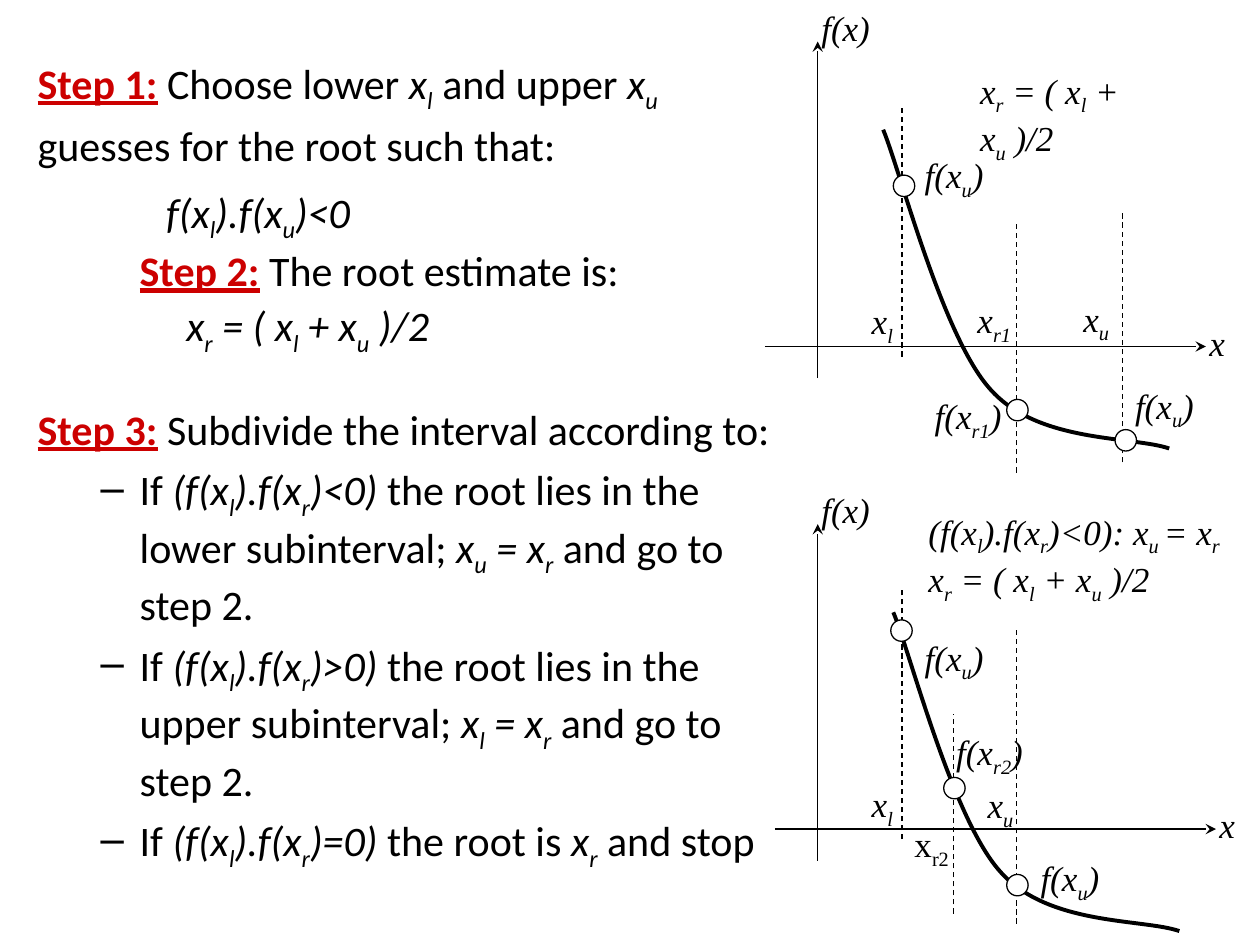
from dataclasses import dataclass
from typing import NamedTuple

from lxml.etree import SubElement
from pptx import Presentation
from pptx.dml.color import RGBColor
from pptx.enum.dml import MSO_LINE
from pptx.enum.shapes import MSO_CONNECTOR, MSO_SHAPE
from pptx.enum.text import MSO_ANCHOR, MSO_AUTO_SIZE
from pptx.oxml.ns import qn
from pptx.util import Inches, Pt

BLACK = RGBColor(0x00, 0x00, 0x00)
WHITE = RGBColor(0xFF, 0xFF, 0xFF)
RED = RGBColor(0xCC, 0x00, 0x00)
BODY_FONT, LABEL_FONT = "Calibri", "Times New Roman"
BODY_SIZE, LABEL_SIZE = Pt(24), Pt(20)
DOT_SIZE = 0.17

# Start point, then two control points and an end point for each curve segment
CURVE = [(7.01, 1.03), (7.15, 1.37), (7.48, 2.67), (7.86, 3.09),
         (8.24, 3.52), (8.99, 3.46), (9.28, 3.56)]


class Label(NamedTuple):
    left: float
    top: float
    width: float
    lines: tuple[str, ...]
    wrap: bool = True


class Guide(NamedTuple):
    """Vertical dashed line."""
    x: float
    bottom: float
    top: float


@dataclass
class Plot:
    """One graph; all heights inside it are measured from its top."""
    top: float
    shift: float
    guides: list[Guide]
    dots: list[tuple[float, float]]
    labels: list[Label]


@dataclass
class Step:
    markup: str
    heading: str = ""
    indent: float = 0
    spacing: float = 1
    space_before: float = 6
    bulleted: bool = False


ESTIMATE = "*x~r~ = ( x~l~ + x~u~ )/2*"

PLOTS = [
    Plot(0, 0,
         [Guide(7.16, 2.83, 0.83), Guide(8.91, 3.67, 1.67), Guide(8.07, 3.75, 1.75)],
         [(7.09, 1.39), (8.85, 3.41), (7.99, 3.17)],
         [Label(8.5, 2.31, 0.5, ("*x~u~*",)),
          Label(8.91, 3, 0.75, ("*f(x~u~)*",)),
          Label(7.66, 2.32, 0.5, ("*x~r1~*",)),
          Label(7.32, 3.08, 1, ("*f(x~r1~)*",)),
          Label(7.68, 0.5, 1.95, (ESTIMATE,), wrap=False)]),
    Plot(3.83, 0.08,
         [Guide(7.16, 2.83, 0.83), Guide(7.57, 3.42, 1.84), Guide(8.07, 3.5, 1.17)],
         [(7.07, 1.09), (7.99, 3.11), (7.49, 2.34)],
         [Label(7.74, 2.34, 0.5, ("*x~u~*",)),
          Label(7.16, 2.65, 0.5, ("x~r2~",)),
          Label(8.16, 2.92, 0.75, ("*f(x~u~)*",)),
          Label(7.49, 1.92, 1, ("*f(x~r2~)*",)),
          Label(7.27, 0.17, 2.55,
                ("*(f(x~l~).f(x~r~)<0): x~u ~= x~r~*", ESTIMATE), wrap=False)]),
]

STEPS = [
    Step(" Choose lower *x~l~* and upper *x~u~*\vguesses for the root such that:",
         "Step 1:", spacing=1.1),
    Step("*f(x~l~).f(x~u~)<0*", indent=1.02, spacing=1.1),
    Step(" The root estimate is:", "Step 2:", indent=0.81, spacing=0.8),
    Step(ESTIMATE, indent=1.18, spacing=0.8),
    Step(" Subdivide the interval according to:", "Step 3:", spacing=0.8, space_before=35.5),
    Step("If *(f(x~l~).f(x~r~)<0)* the root lies in the lower subinterval; "
         "*x~u~ = x~r~* and go to step 2.", indent=0.81, bulleted=True),
    Step("If *(f(x~l~).f(x~r~)>0)* the root lies in the upper subinterval; "
         "*x~l~ = x~r~* and go to step 2.", indent=0.81, bulleted=True),
    Step("If *(f(x~l~).f(x~r~)=0)* the root is *x~r~* and stop", indent=0.81, bulleted=True),
]


def add_span(para, text: str, font_name: str, size: Pt, color: RGBColor = BLACK):
    span = para.add_run()
    span.text = text
    span.font.name, span.font.size = font_name, size
    span.font.color.rgb = color
    return span


def add_markup(para, markup: str, font_name: str, size: Pt) -> None:
    """Write text where * toggles italic, ~ toggles subscript and \\v breaks the line."""
    italic = False
    for index, level in enumerate(markup.split("~")):
        for position, piece in enumerate(level.split("*")):
            italic ^= position > 0
            for number, text in enumerate(piece.split("\v")):
                if number:
                    para.add_line_break()
                if text:
                    span = add_span(para, text, font_name, size)
                    span.font.italic = italic
                    if index % 2:
                        span.font._element.set("baseline", "-25000")


def add_line(page, start: tuple[float, float], end: tuple[float, float],
             arrow: bool = False) -> None:
    """Draw an axis with an arrowhead, or a dashed guide without one."""
    line = page.shapes.add_connector(MSO_CONNECTOR.STRAIGHT, *map(Inches, start + end))
    line.line.color.rgb = BLACK
    line.line.width = Pt(0.75)
    if arrow:
        SubElement(line.line._get_or_add_ln(), qn("a:tailEnd"), type="stealth")
    else:
        line.line.dash_style = MSO_LINE.DASH
    SubElement(line._element.spPr, qn("a:effectLst"))


def add_curve(page, points: list[tuple[float, float]]) -> None:
    start, *rest = [(Inches(x), Inches(y)) for x, y in points]
    builder = page.shapes.build_freeform(*start)
    builder.add_line_segments(rest, close=False)
    curve = builder.convert_to_shape()
    curve.shadow.inherit = False
    curve.fill.background()
    curve.line.color.rgb = BLACK
    curve.line.width = Pt(2.25)
    # Every three straight segments become one cubic segment
    segments = list(curve._element.iter(qn("a:lnTo")))
    outline = segments[0].getparent()
    for first in range(0, len(segments), 3):
        cubic = SubElement(outline, qn("a:cubicBezTo"))
        for segment in segments[first:first + 3]:
            cubic.append(segment[0])
            outline.remove(segment)


def add_dot(page, left: float, top: float) -> None:
    dot = page.shapes.add_shape(MSO_SHAPE.OVAL, Inches(left), Inches(top),
                                Inches(DOT_SIZE), Inches(DOT_SIZE))
    dot.shadow.inherit = False
    dot.fill.solid()
    dot.fill.fore_color.rgb = WHITE
    dot.line.color.rgb = BLACK
    dot.line.width = Pt(0.75)


def add_label(page, label: Label, plot_top: float) -> None:
    box = page.shapes.add_textbox(Inches(label.left), Inches(plot_top + label.top),
                                  Inches(label.width), Inches(0.06 + 0.4 * len(label.lines)))
    frame = box.text_frame
    frame.word_wrap = label.wrap
    frame.auto_size = MSO_AUTO_SIZE.SHAPE_TO_FIT_TEXT
    for index, line in enumerate(label.lines):
        para = frame.add_paragraph() if index else frame.paragraphs[0]
        add_markup(para, line, LABEL_FONT, LABEL_SIZE)


def add_plot(page, plot: Plot) -> None:
    top, shift = plot.top, plot.shift
    add_line(page, (6.49, top + 3), (6.49, top + 0.33), arrow=True)
    add_line(page, (6.07 + shift, top + 2.75), (9.57 + shift, top + 2.75), arrow=True)
    for guide in plot.guides:
        add_line(page, (guide.x, top + guide.bottom), (guide.x, top + guide.top))
    add_curve(page, [(x + shift, y + top) for x, y in CURVE])
    for left, dot_top in plot.dots:
        add_dot(page, left, top + dot_top)
    shared = [Label(6.42, 0, 0.75, ("*f(x)*",)), Label(9.5 + shift, 2.5, 0.25, ("*x*",)),
              Label(6.82, 2.33, 0.5, ("*x~l~*",)), Label(7.24, 1.17, 0.75, ("*f(x~u~)*",))]
    for label in shared + plot.labels:
        add_label(page, label, top)


def add_steps(page) -> None:
    box = page.shapes.add_textbox(Inches(0.2), Inches(0.36), Inches(6.21), Inches(6.74))
    frame = box.text_frame
    frame.word_wrap = True
    frame.vertical_anchor = MSO_ANCHOR.TOP
    for index, step in enumerate(STEPS):
        para = frame.add_paragraph() if index else frame.paragraphs[0]
        para.line_spacing = step.spacing
        para.space_before = Pt(step.space_before)
        properties = para._p.get_or_add_pPr()
        properties.set("marL", str(Inches(step.indent)))
        if step.bulleted:
            properties.set("indent", str(Inches(-0.31)))
            SubElement(properties, qn("a:buChar"), char="–")
        if step.heading:
            span = add_span(para, step.heading, BODY_FONT, BODY_SIZE, RED)
            span.font.bold = span.font.underline = True
        add_markup(para, step.markup, BODY_FONT, BODY_SIZE)


def main() -> None:
    deck = Presentation()
    deck.slide_width, deck.slide_height = Inches(10), Inches(7.5)
    page = deck.slides.add_slide(deck.slide_layouts[6])
    for plot in PLOTS:
        add_plot(page, plot)
    add_steps(page)
    deck.save("out.pptx")


if __name__ == "__main__":
    main()
